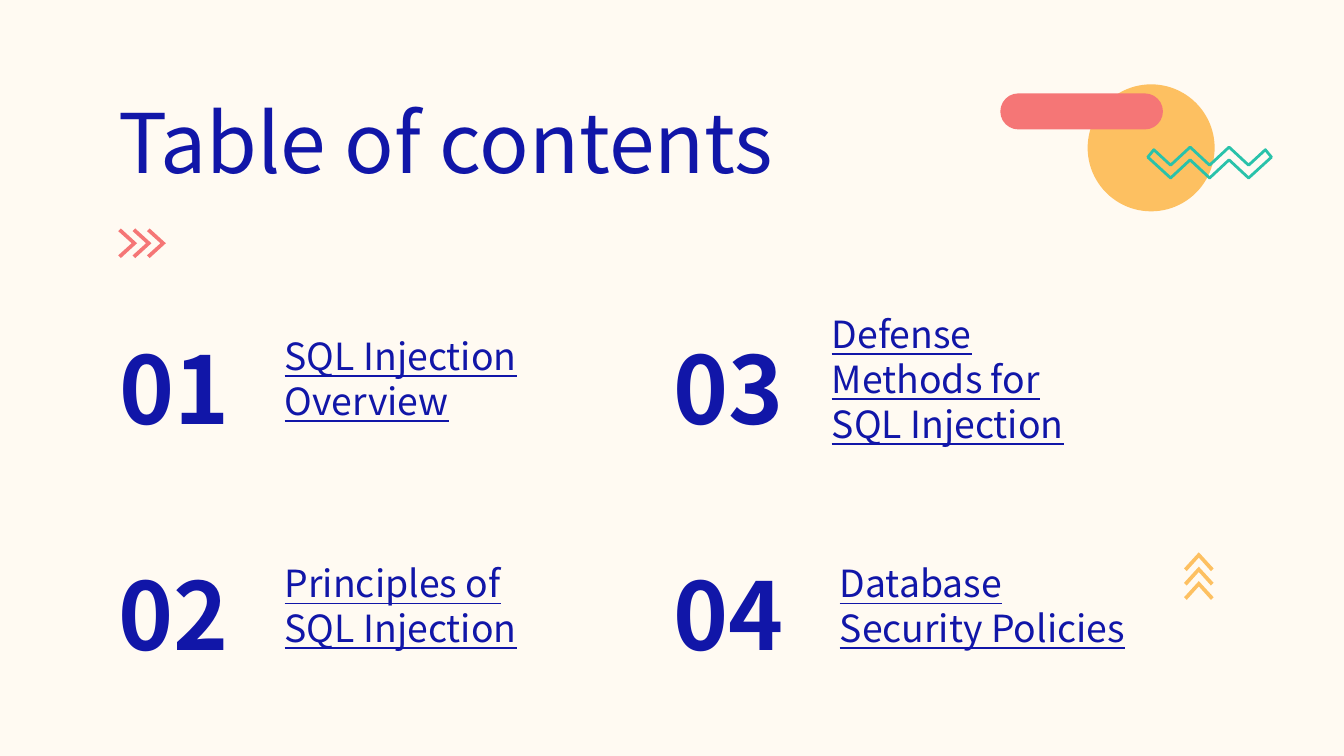
from dataclasses import dataclass

from pptx import Presentation
from pptx.dml.color import RGBColor
from pptx.enum.shapes import MSO_SHAPE as Preset
from pptx.enum.text import MSO_ANCHOR as Anchor
from pptx.util import Inches, Pt


@dataclass(frozen=True)
class Theme:
    font: str = "Noto Sans CJK SC"
    cream: str = "FFFAF2"
    navy: str = "1116A8"
    coral: str = "F57676"
    amber: str = "FDC061"
    teal: str = "29C2AA"
    title_size: int = 44
    number_size: int = 50
    topic_size: int = 20
    outline: float = 1.5


CHEVRON = [(0.2, 2.2), (1.4, 1.1), (0.2, 0), (0, 0.2), (1, 1.1), (0, 2)]
CHEVRON_LENGTH = 1.4
CHEVRON_STEP = 1.07

# number, its left and top, topic, its left, top and width
TOPICS = [
    ("01", 7.9, 24, "SQL Injection Overview", 20.2, 26.3, 23.1),
    ("02", 7.8, 40.8, "Principles of SQL Injection", 20.2, 43.2, 23.1),
    ("03", 49.1, 24, "Defense Methods for SQL Injection", 60.9, 26.3, 23.1),
    ("04", 49.1, 40.8, "Database Security Policies", 61.5, 43.2, 24.6),
]


class SlideBuilder:
    """Draws on one slide, with lengths in cells of a 100-column grid."""

    def __init__(self, presentation, theme):
        self.theme = theme
        self.cell = presentation.slide_width / 100
        self.slide = presentation.slides.add_slide(presentation.slide_layouts[6])
        background = self.slide.background.fill
        background.solid()
        background.fore_color.rgb = RGBColor.from_string(theme.cream)

    def emu(self, *cells):
        return [round(value * self.cell) for value in cells]

    def paint(self, shape, fill=None, line=None):
        shape.shadow.inherit = False
        if fill:
            shape.fill.solid()
            shape.fill.fore_color.rgb = RGBColor.from_string(fill)
        else:
            shape.fill.background()
        if line:
            shape.line.color.rgb = RGBColor.from_string(line)
            shape.line.width = Pt(self.theme.outline)
        else:
            shape.line.fill.background()

    def preset(self, kind, box, fill):
        shape = self.slide.shapes.add_shape(kind, *self.emu(*box))
        self.paint(shape, fill)
        return shape

    def polygon(self, points, fill=None, line=None):
        start, *rest = [self.emu(*point) for point in points]
        builder = self.slide.shapes.build_freeform(*start)
        builder.add_line_segments(rest, close=True)
        self.paint(builder.convert_to_shape(), fill, line)

    def chevrons(self, left, top, color, upward=False):
        """Draw three chevrons in a row, or in a column when they point up."""
        for index in range(3):
            shift = index * CHEVRON_STEP
            if upward:
                points = [(left + y, top + shift + CHEVRON_LENGTH - x)
                          for x, y in CHEVRON]
            else:
                points = [(left + shift + x, top + y) for x, y in CHEVRON]
            self.polygon(points, fill=color)

    def zigzag(self, center, color):
        upper = [(-4.15, 11.15), (-2.9, 12.3), (-1.45, 10.95), (0, 12.3)]
        lower = [(0, 13.25), (-1.45, 11.9), (-2.9, 13.25), (-4.6, 11.7)]
        top = upper + [(-x, y) for x, y in upper[-2::-1]]
        bottom = [(-x, y) for x, y in lower[:0:-1]] + lower
        self.polygon([(center + x, y) for x, y in top + bottom], line=color)

    def text(self, words, box, size, bold=False, underline=False, spacing=1.0):
        frame = self.slide.shapes.add_textbox(*self.emu(*box)).text_frame
        frame.word_wrap = True
        frame.vertical_anchor = Anchor.MIDDLE
        frame.margin_left = frame.margin_right = Inches(0.1)
        frame.margin_top = frame.margin_bottom = Inches(0.1)
        frame.text = words
        paragraph = frame.paragraphs[0]
        paragraph.line_spacing = spacing
        font = paragraph.runs[0].font
        font.name = self.theme.font
        font.size = Pt(size)
        font.bold = bold
        font.underline = underline
        font.color.rgb = RGBColor.from_string(self.theme.navy)


def main():
    presentation = Presentation()
    presentation.slide_width = Inches(10)
    presentation.slide_height = presentation.slide_width * 9 // 16
    theme = Theme()
    builder = SlideBuilder(presentation, theme)

    builder.preset(Preset.OVAL, (80.93, 6.28, 9.45, 9.45), theme.amber)
    builder.zigzag(90, theme.teal)
    bar = builder.preset(Preset.ROUNDED_RECTANGLE, (74.43, 6.95, 12.1, 2.68), theme.coral)
    bar.adjustments[0] = 0.5

    builder.text("Table of contents", (7.8, 5.8, 63.8, 11.1),
                 theme.title_size, spacing=0.7)
    for number, left, top, topic, topic_left, topic_top, width in TOPICS:
        builder.text(number, (left, top, 11.1, 9.6), theme.number_size, bold=True)
        builder.text(topic, (topic_left, topic_top, width, 3.7),
                     theme.topic_size, underline=True)

    builder.chevrons(8.8, 17, theme.coral)
    builder.chevrons(88.1, 41.1, theme.amber, upward=True)

    presentation.save("out.pptx")


if __name__ == "__main__":
    main()
